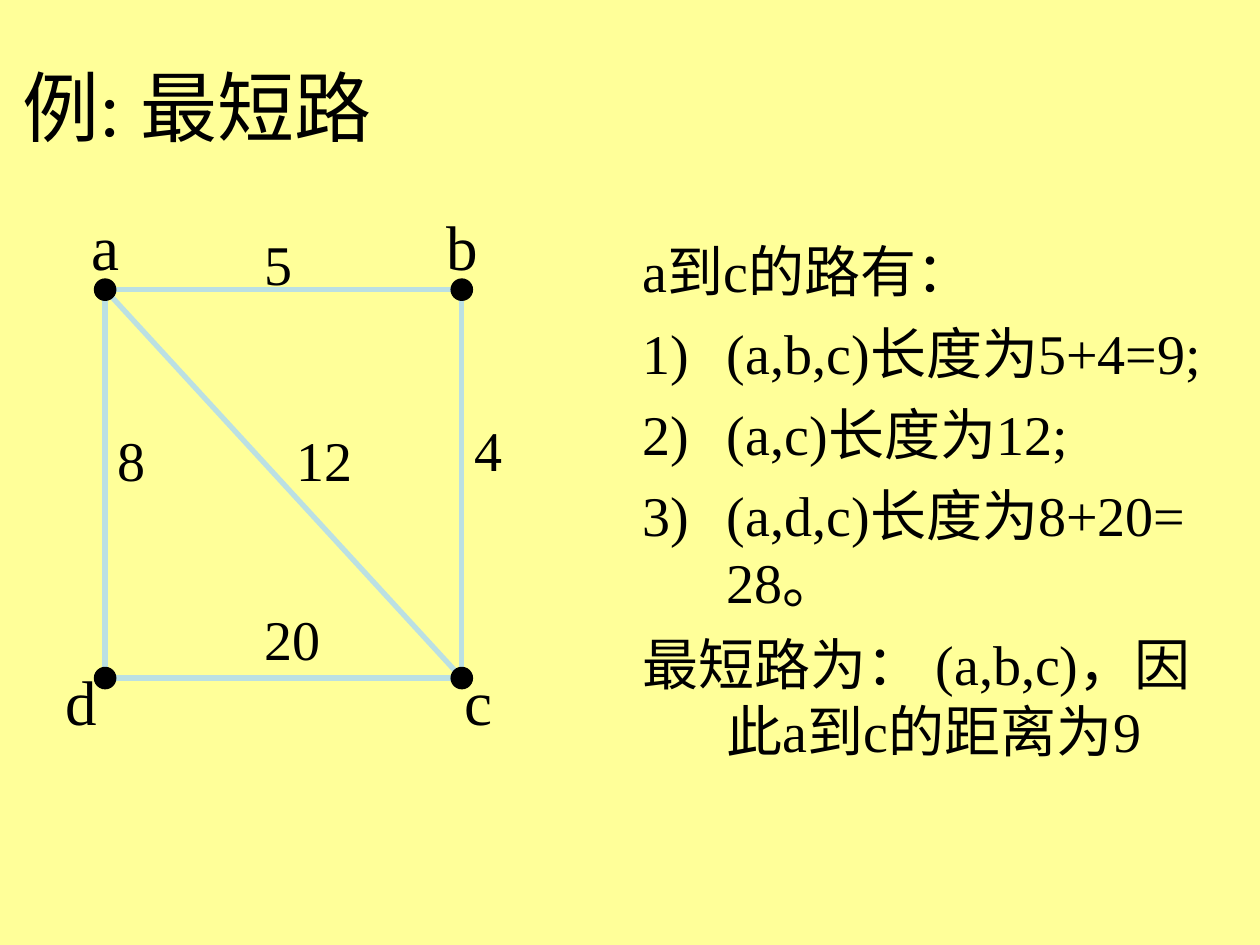
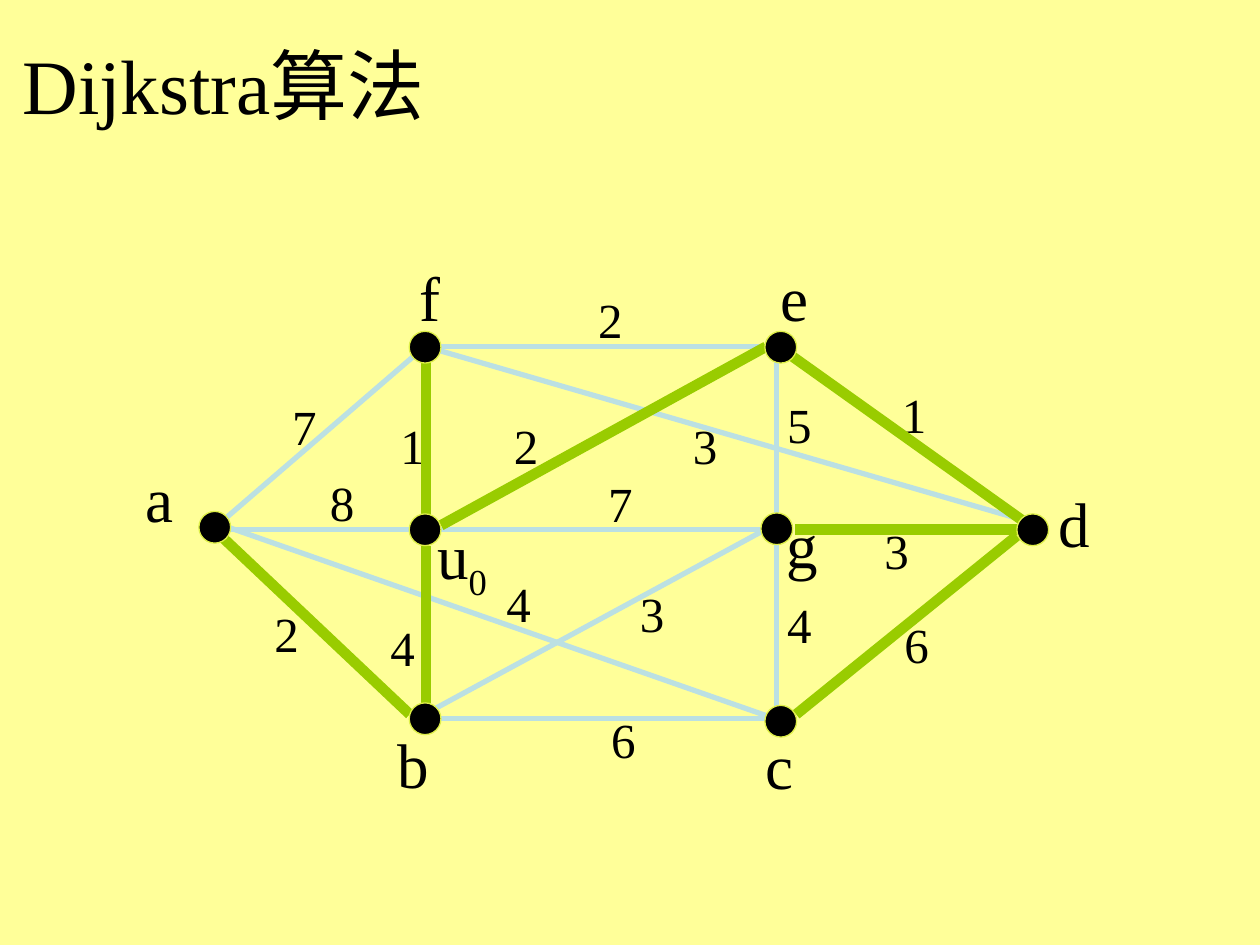
from dataclasses import dataclass

from lxml.etree import SubElement
from pptx import Presentation
from pptx.dml.color import RGBColor
from pptx.enum.lang import MSO_LANGUAGE_ID
from pptx.enum.shapes import MSO_CONNECTOR, MSO_SHAPE
from pptx.enum.text import MSO_ANCHOR, MSO_AUTO_SIZE, PP_ALIGN
from pptx.oxml.ns import qn
from pptx.util import Cm, Pt


@dataclass(frozen=True)
class Theme:
    """Colours, font and sizes shared by both slides."""
    font: str = "Times New Roman"
    paper: RGBColor = RGBColor(0xFF, 0xFF, 0x99)
    ink: RGBColor = RGBColor(0, 0, 0)
    edge: RGBColor = RGBColor(0xBB, 0xE0, 0xE3)
    chosen: RGBColor = RGBColor(0x99, 0xCC, 0x00)
    rim: RGBColor = RGBColor(0xDF, 0xEF, 0x49)
    title: int = 44
    body: int = 32
    name: int = 36
    small: int = 28
    edge_width: int = 3
    chosen_width: int = 6


T = Theme()
EM_WIDTHS = {"a": 0.44, "c": 0.44, "e": 0.44, "f": 0.33}
SUBSCRIPT_SCALE = 0.58

SQUARE = (2.12, 5.84, 9.31, 13.67)
SQUARE_NAMES = [("a", 1.6, 4.06), ("b", 8.76, 4.06),
                ("c", 9.12, 13.23), ("d", 1.07, 13.23)]
SQUARE_WEIGHTS = [("5", 5.08, 4.5), ("12", 5.72, 8.46), ("4", 9.32, 8.26),
                  ("8", 2.11, 8.46), ("20", 5.08, 12.07)]
PATHS = [("a到c的路有：", False), ("(a,b,c)长度为5+4=9;", True),
         ("(a,c)长度为12;", True), ("(a,d,c)长度为8+20= 28。", True),
         ("最短路为： (a,b,c)，因此a到c的距离为9", False)]

NODES = {"u": (8.57, 10.68), "f": (8.57, 7), "a": (4.33, 10.63),
         "b": (8.57, 14.49), "e": (15.74, 7), "g": (15.66, 10.66),
         "d": (20.82, 10.68), "c": (15.74, 14.54)}
PLAIN_EDGES = [(8.41, 14.48, 15.77, 10.49), (15.6, 14.48, 4.29, 10.52),
               (20.65, 10.49, 8.66, 7.01), (15.65, 14.48, 15.65, 7.11),
               (8.56, 14.48, 15.75, 14.48), (4.29, 10.67, 15.66, 10.67),
               (4.29, 10.67, 8.56, 6.99), (8.56, 6.99, 15.75, 6.99)]
CHOSEN_EDGES = [(8.59, 7.19, 8.59, 10.49), (15.44, 6.99, 8.89, 10.59),
                (15.98, 7.19, 20.75, 10.59), (8.59, 11, 8.59, 14.17),
                (4.45, 10.8, 8.26, 14.4), (20.5, 10.67, 16.03, 10.67),
                (16.05, 14.4, 20.5, 10.8)]
NODE_NAMES = [("b", 7.77, 14.5), ("a", 2.69, 9.14), ("c", 15.19, 14.53),
              ("d", 21.08, 9.65), ("f", 8.2, 5.08), ("e", 15.49, 5.08),
              ("g", 15.6, 10.06)]
WEIGHTS = [("7", 5.64, 7.87), ("6", 12.07, 14.17), ("2", 5.28, 12.04),
           ("8", 6.4, 9.4), ("1", 7.82, 8.26), ("4", 7.62, 12.32),
           ("4", 9.96, 11.43), ("3", 12.65, 11.63), ("4", 15.62, 11.86),
           ("7", 12.01, 9.42), ("2", 10.11, 8.26), ("3", 13.72, 8.26),
           ("5", 15.62, 7.82), ("6", 17.98, 12.27), ("3", 17.58, 10.36),
           ("2", 11.81, 5.72), ("1", 17.93, 7.62)]


def add_run(p, text, size):
    """Append one run in the shared font and ink."""
    r = p.add_run()
    r.text = text
    r.font.name = T.font
    r.font.size = Pt(size)
    r.font.color.rgb = T.ink
    r.font.language_id = MSO_LANGUAGE_ID.SIMPLIFIED_CHINESE
    return r


def place(sp, x, y, w, h):
    """Move and size a shape, in centimetres."""
    sp.left, sp.top, sp.width, sp.height = Cm(x), Cm(y), Cm(w), Cm(h)


def add_title(s, text, top):
    """Fill the title placeholder, flush left."""
    sp = s.shapes.title
    place(sp, 0.2, top, 22.66, 2.11)
    tf = sp.text_frame
    tf.auto_size = MSO_AUTO_SIZE.NONE
    tf.vertical_anchor = MSO_ANCHOR.MIDDLE
    p = tf.paragraphs[0]
    p.alignment = PP_ALIGN.LEFT
    add_run(p, text, T.title)


def add_list(s, items):
    """Fill the body placeholder with hanging, partly numbered paragraphs."""
    sp = s.placeholders[1]
    place(sp, 12.7, 4.65, 12.27, 11.23)
    tf = sp.text_frame
    tf.auto_size = MSO_AUTO_SIZE.NONE
    for i, (text, numbered) in enumerate(items):
        p = tf.add_paragraph() if i else tf.paragraphs[0]
        p.space_before = Pt(8)
        pPr = p._p.get_or_add_pPr()
        pPr.set("marL", str(Cm(1.7)))
        pPr.set("indent", str(Cm(-1.7)))
        if numbered:
            SubElement(pPr, qn("a:buFont"), typeface=T.font)
            SubElement(pPr, qn("a:buAutoNum"), type="arabicParenR")
        else:
            SubElement(pPr, qn("a:buNone"))
        add_run(p, text, T.body)


def add_label(s, text, x, y, size, subscript=""):
    """Add a one-line label whose box fits its text."""
    ems = sum(EM_WIDTHS.get(ch, 0.5) for ch in text)
    ems += 0.5 * SUBSCRIPT_SCALE * len(subscript)
    sp = s.shapes.add_textbox(Cm(x), Cm(y), Cm(0.51) + Pt(size * ems),
                              Cm(0.25) + Pt(size * 1.2))
    tf = sp.text_frame
    tf.word_wrap = False
    tf.auto_size = MSO_AUTO_SIZE.SHAPE_TO_FIT_TEXT
    p = tf.paragraphs[0]
    add_run(p, text, size)
    if subscript:
        r = add_run(p, subscript, size)
        r._r.get_or_add_rPr().set("baseline", "-25000")


def add_labels(s, labels, size):
    """Add several labels of one size."""
    for text, x, y in labels:
        add_label(s, text, x, y, size)


def add_edge(s, ends, color, width):
    """Draw a straight edge without shadow."""
    ln = s.shapes.add_connector(MSO_CONNECTOR.STRAIGHT, *map(Cm, ends))
    ln.line.color.rgb = color
    ln.line.width = Pt(width)
    SubElement(ln._element.spPr, qn("a:effectLst"))


def add_node(s, x, y, size, rim):
    """Draw a black dot centred on x, y."""
    sp = s.shapes.add_shape(MSO_SHAPE.OVAL, Cm(x - size / 2),
                            Cm(y - size / 2), Cm(size), Cm(size))
    sp.shadow.inherit = False
    sp.fill.solid()
    sp.fill.fore_color.rgb = T.ink
    sp.line.color.rgb = rim
    sp.line.width = Pt(0.75)


def add_square(s, left, top, right, bottom):
    """Draw the four-node graph as a square with one diagonal."""
    sp = s.shapes.add_shape(MSO_SHAPE.RECTANGLE, Cm(left), Cm(top),
                            Cm(right - left), Cm(bottom - top))
    sp.shadow.inherit = False
    sp.fill.background()
    sp.line.color.rgb = T.edge
    sp.line.width = Pt(T.edge_width)
    add_edge(s, (left, top, right, bottom), T.edge, T.edge_width)
    for x in (left, right):
        for y in (top, bottom):
            add_node(s, x, y, 0.43, T.ink)


def build_example(prs):
    """Build the shortest path example."""
    s = prs.slides.add_slide(prs.slide_layouts[1])
    add_title(s, "例: 最短路", 1.07)
    add_list(s, PATHS)
    add_square(s, *SQUARE)
    add_labels(s, SQUARE_NAMES, T.name)
    add_labels(s, SQUARE_WEIGHTS, T.body)


def build_dijkstra(prs):
    """Build the graph with its tree of shortest paths."""
    s = prs.slides.add_slide(prs.slide_layouts[5])
    add_title(s, "Dijkstra算法", 0.64)
    for ends in PLAIN_EDGES:
        add_edge(s, ends, T.edge, T.edge_width)
    add_labels(s, NODE_NAMES, T.name)
    add_label(s, "u", 8.56, 10.29, T.name, subscript="0")
    add_labels(s, WEIGHTS, T.small)
    for ends in CHOSEN_EDGES:
        add_edge(s, ends, T.chosen, T.chosen_width)
    for x, y in NODES.values():
        add_node(s, x, y, 0.64, T.rim)


def main():
    """Create the two slides and save them."""
    prs = Presentation()
    prs.slide_width, prs.slide_height = Cm(25.4), Cm(19.05)
    fill = prs.slide_master.background.fill
    fill.solid()
    fill.fore_color.rgb = T.paper
    build_example(prs)
    build_dijkstra(prs)
    prs.save("out.pptx")


if __name__ == "__main__":
    main()
